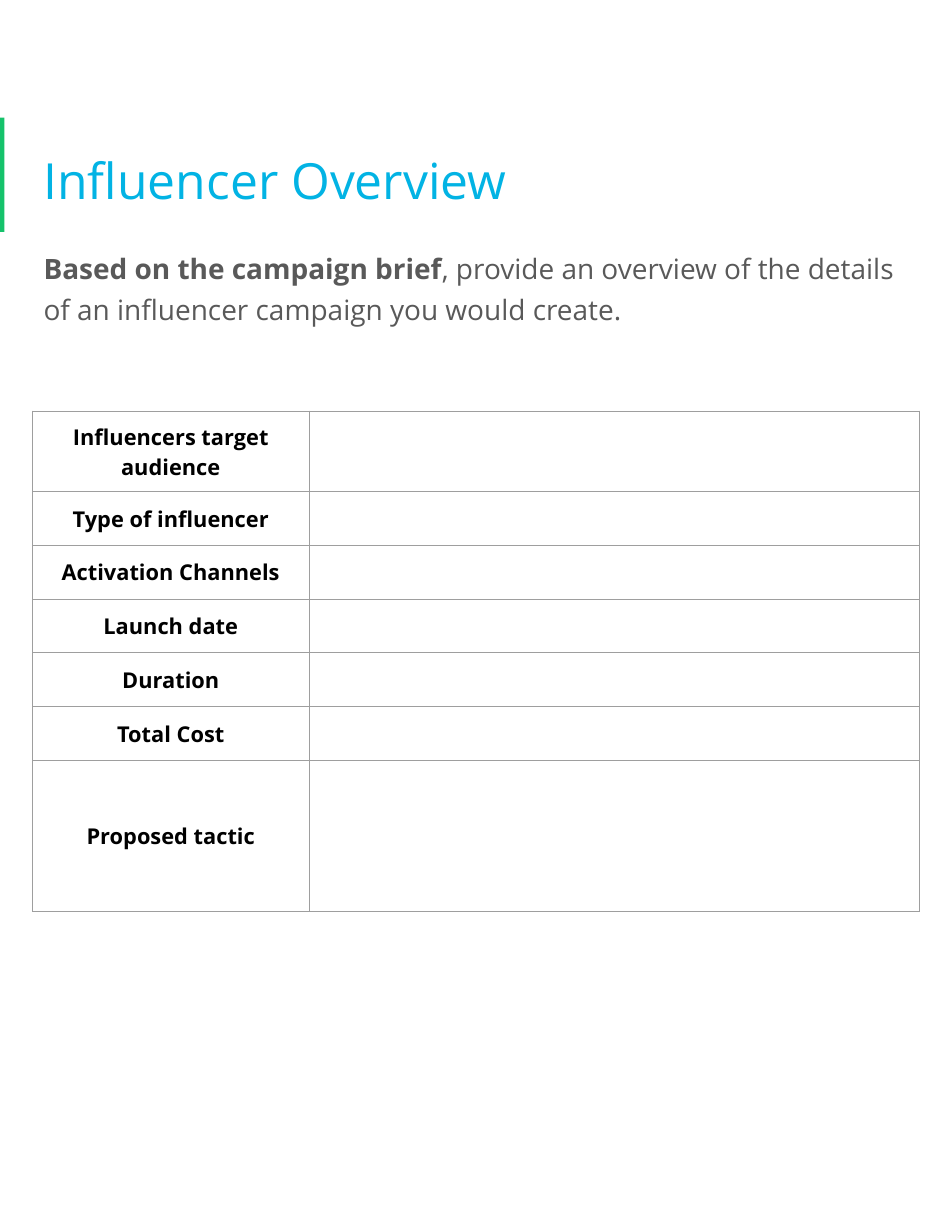
import pptx
import pptx.util
import pptx.dml.color
import pptx.enum.shapes
import pptx.enum.text
from lxml import etree
from pptx.oxml.ns import qn

Inches = pptx.util.Inches
Pt = pptx.util.Pt
RGBColor = pptx.dml.color.RGBColor
Anchor = pptx.enum.text.MSO_ANCHOR
Align = pptx.enum.text.PP_ALIGN

FONT = "Open Sans"
GREEN = RGBColor(0x15, 0xC2, 0x6B)
BLUE = RGBColor(0x02, 0xB3, 0xE4)
GRAY = RGBColor(0x59, 0x59, 0x59)
BLACK = RGBColor(0, 0, 0)
LINE = RGBColor(0x9E, 0x9E, 0x9E)

TITLE = [("Influencer Overview", False)]
INTRO = [
    ("Based on the campaign brief", True),
    (", provide an overview of the details of an influencer campaign you would create.", False),
]
ROWS = [
    ("Influencers target audience", 0.72),
    ("Type of influencer", 0.48),
    ("Activation Channels", 0.48),
    ("Launch date", 0.48),
    ("Duration", 0.48),
    ("Total Cost", 0.48),
    ("Proposed tactic", 1.35),
]
COLS = [2.47, 5.45]
LEFT = 0.29
WIDTH = sum(COLS)


def pad(box):
    for side in ("left", "right", "top", "bottom"):
        setattr(box, "margin_" + side, Inches(0.1))


def add_runs(para, runs, size, color):
    for text, bold in runs:
        run = para.add_run()
        run.text = text
        run.font.name = FONT
        run.font.size = Pt(size)
        run.font.bold = bold
        run.font.color.rgb = color


def add_text(slide, top, height, runs, size, color, space, anchor):
    box = slide.shapes.add_textbox(Inches(LEFT), Inches(top), Inches(WIDTH), Inches(height))
    frame = box.text_frame
    frame.word_wrap = True
    frame.vertical_anchor = anchor
    pad(frame)
    para = frame.paragraphs[0]
    para.line_spacing = space
    add_runs(para, runs, size, color)


def add_border(cell):
    props = cell._tc.get_or_add_tcPr()
    for i, side in enumerate(("lnL", "lnR", "lnT", "lnB")):
        line = etree.Element(qn("a:" + side), w=str(Pt(0.75)))
        fill = etree.SubElement(line, qn("a:solidFill"))
        etree.SubElement(fill, qn("a:srgbClr"), val=str(LINE))
        props.insert(i, line)


def add_grid(slide):
    height = sum(size for _, size in ROWS)
    frame = slide.shapes.add_table(
        len(ROWS), len(COLS), Inches(LEFT), Inches(3.67), Inches(WIDTH), Inches(height)
    )
    table = frame.table
    table.first_row = False
    table.horz_banding = False
    for col, width in zip(table.columns, COLS):
        col.width = Inches(width)
    for row, (label, size) in zip(table.rows, ROWS):
        row.height = Inches(size)
        for cell in row.cells:
            cell.fill.background()
            add_border(cell)
        head = row.cells[0]
        head.vertical_anchor = Anchor.MIDDLE
        pad(head)
        para = head.text_frame.paragraphs[0]
        para.alignment = Align.CENTER
        add_runs(para, [(label, True)], 14, BLACK)


def main():
    deck = pptx.Presentation()
    deck.slide_width = Inches(8.5)
    deck.slide_height = Inches(11)
    slide = deck.slides.add_slide(deck.slide_layouts[6])
    bar = slide.shapes.add_shape(
        pptx.enum.shapes.MSO_SHAPE.RECTANGLE, 0, Inches(1.05), Inches(0.04), Inches(1.02)
    )
    bar.shadow.inherit = False
    bar.fill.solid()
    bar.fill.fore_color.rgb = GREEN
    bar.line.fill.background()
    add_text(slide, 0.95, 1.22, TITLE, 32, BLUE, 1.15, Anchor.MIDDLE)
    add_text(slide, 2.09, 2, INTRO, 18, GRAY, 1.2, Anchor.TOP)
    add_grid(slide)
    deck.save("out.pptx")


if __name__ == "__main__":
    main()
